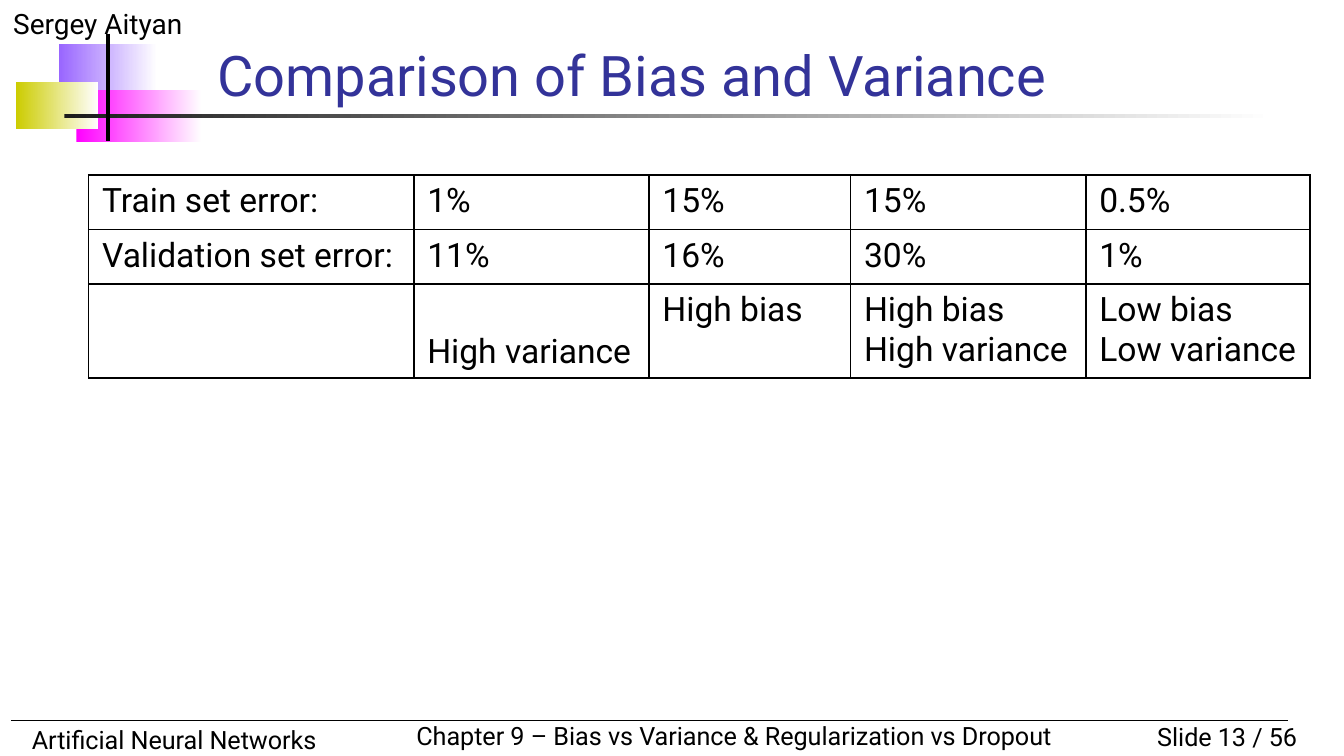
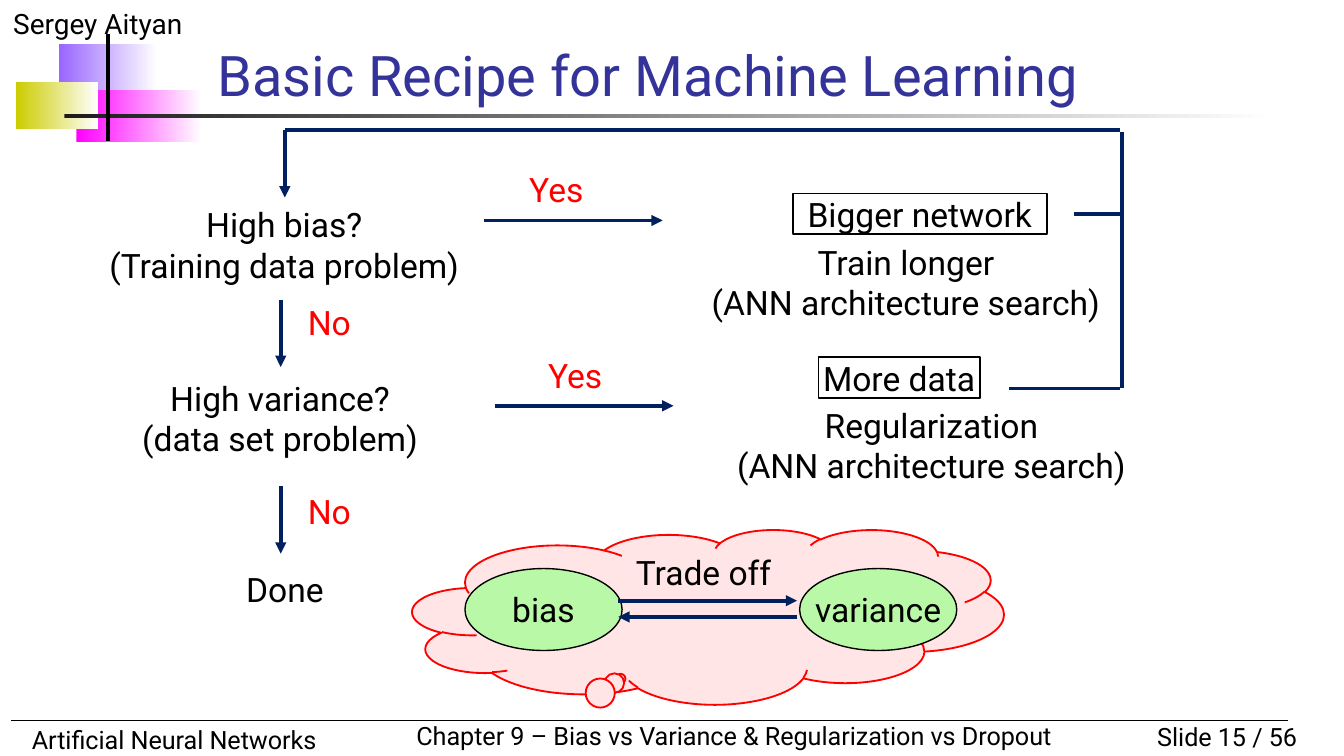
from lxml.etree import SubElement
from pptx import Presentation
from pptx.dml.color import RGBColor
from pptx.enum.shapes import MSO_CONNECTOR, MSO_SHAPE
from pptx.enum.text import MSO_ANCHOR, PP_ALIGN
from pptx.oxml.ns import qn
from pptx.util import Pt

FONT = "Roboto"
BLACK, WHITE, RED = "000000", "FFFFFF", "FF0000"
TITLE, NAVY = "333399", "002060"
PINK, GREEN = "FFE5E5", "B8F8A6"
TOTAL = 56
LINE_H = 21.6  # height of one 18 pt line


def rgb(color):
    return RGBColor.from_string(color)


def write(tf, text, size=18, color=BLACK, align=PP_ALIGN.CENTER,
          anchor=MSO_ANCHOR.TOP, wrap=True):
    tf.word_wrap = wrap
    tf.vertical_anchor = anchor
    for i, line in enumerate(text.split("\n")):
        p = tf.paragraphs[0] if i == 0 else tf.add_paragraph()
        p.text = line
        p.alignment = align
        p.font.name = FONT
        p.font.size = Pt(size)
        p.font.color.rgb = rgb(color)


def no_margins(tf):
    tf.margin_left = tf.margin_right = tf.margin_top = tf.margin_bottom = 0


def text_box(s, x, y, w, h, text, **style):
    """Text box with the usual insets, left aligned unless told otherwise."""
    tf = s.shapes.add_textbox(Pt(x), Pt(y), Pt(w), Pt(h)).text_frame
    write(tf, text, **{"align": PP_ALIGN.LEFT, **style})


def label(s, x, y, w, text, color=BLACK):
    """Centred text without insets, as high as its lines."""
    h = LINE_H * len(text.split("\n"))
    tf = s.shapes.add_textbox(Pt(x), Pt(y), Pt(w), Pt(h)).text_frame
    no_margins(tf)
    write(tf, text, color=color)


def shape(s, kind, x, y, w, h, fill=None, line=None, width=1.0):
    sp = s.shapes.add_shape(kind, Pt(x), Pt(y), Pt(w), Pt(h))
    sp.shadow.inherit = False
    if fill:
        sp.fill.solid()
        sp.fill.fore_color.rgb = rgb(fill)
    else:
        sp.fill.background()
    if line:
        sp.line.color.rgb = rgb(line)
        sp.line.width = Pt(width)
    else:
        sp.line.fill.background()
    no_margins(sp.text_frame)
    return sp


def fading_bar(s, x, y, w, h, color):
    sp = shape(s, MSO_SHAPE.RECTANGLE, x, y, w, h)
    sp.fill.gradient()
    sp.fill.gradient_angle = 0
    for stop, c, pos in zip(sp.fill.gradient_stops, (color, WHITE), (0, 1)):
        stop.color.rgb = rgb(c)
        stop.position = pos


def line(s, x1, y1, x2, y2, color=NAVY, width=2.0, arrow=False):
    c = s.shapes.add_connector(MSO_CONNECTOR.STRAIGHT,
                               Pt(x1), Pt(y1), Pt(x2), Pt(y2))
    c.line.color.rgb = rgb(color)
    c.line.width = Pt(width)
    if arrow:
        SubElement(c.line._get_or_add_ln(), qn("a:tailEnd"), type="triangle")
    SubElement(c._element.spPr, qn("a:effectLst"))


def new_slide(prs, title, number):
    s = prs.slides.add_slide(prs.slide_layouts[6])
    # Coloured blocks and the rule under the title
    fading_bar(s, 31.7, 23.8, 52.6, 28, "9966FF")
    fading_bar(s, 41, 48.2, 67, 28, "FF00FF")
    fading_bar(s, 8.6, 43.9, 44, 25, "CCCC00")
    fading_bar(s, 34.5, 61.2, 648, 2, "1C1C1C")
    # Author and footer
    text_box(s, 0, 0, 180, 25, "Sergey Aityan", size=15)
    text_box(s, 594, 383, 108, 23.8, f"Slide {number} / {TOTAL}",
             size=13.5, align=PP_ALIGN.RIGHT)
    text_box(s, 10, 384.5, 266.4, 23.8, "Artificial Neural Networks", size=13.5)
    text_box(s, 216, 382.5, 359.3, 23.8,
             "Chapter 9 – Bias vs Variance & Regularization vs Dropout",
             size=13.5, wrap=False)
    line(s, 5.8, 386, 690, 386, BLACK, 0.75)
    line(s, 57.8, 18, 57.8, 75.6, BLACK)
    # Title
    text_box(s, 109.4, 22.3, 529.2, 38.9, title, size=30, color=TITLE,
             anchor=MSO_ANCHOR.BOTTOM)
    return s


def border(cell):
    tc_pr = cell._tc.get_or_add_tcPr()
    for side in ("lnL", "lnR", "lnT", "lnB"):
        ln = SubElement(tc_pr, qn(f"a:{side}"), w=str(Pt(1)))
        fill = SubElement(ln, qn("a:solidFill"))
        SubElement(fill, qn("a:srgbClr"), val=BLACK)


def error_table(s, x, y):
    rows = [
        ["Train set error:", "1%", "15%", "15%", "0.5%"],
        ["Validation set error:", "11%", "16%", "30%", "1%"],
        ["", "High variance", "High bias", "High bias\nHigh variance",
         "Low bias\nLow variance"],
    ]
    widths = [174.2, 126, 108, 126, 120]
    heights = [29.2, 29.2, 50.2]
    table = s.shapes.add_table(len(rows), len(widths), Pt(x), Pt(y),
                               Pt(sum(widths)), Pt(sum(heights))).table
    table.first_row = table.horz_banding = False
    for column, w in zip(table.columns, widths):
        column.width = Pt(w)
    for row, h, texts in zip(table.rows, heights, rows):
        row.height = Pt(h)
        for cell, text in zip(row.cells, texts):
            border(cell)
            cell.fill.background()
            # A lone "High variance" lines up with the second lines beside it
            low = text == "High variance"
            write(cell.text_frame, text, align=PP_ALIGN.LEFT)
            cell.vertical_anchor = MSO_ANCHOR.BOTTOM if low else MSO_ANCHOR.TOP


def recipe_flow(s, x, y):
    # Questions and outcome
    for dx, dy, w, text in [
        (2.2, 39.6, 199.4, "High bias?\n(Training data problem)"),
        (0, 132.5, 199.4, "High variance?\n(data set problem)"),
        (72, 234.8, 60.5, "Done"),
        (324, 59.8, 221.8, "Train longer\n(ANN architecture search)"),
        (337.7, 146.9, 221.8, "Regularization\n(ANN architecture search)"),
    ]:
        label(s, x + dx, y + dy, w, text)
    # Framed remedies
    for dx, dy, w, text in [(374.4, 33.9, 136, "Bigger network"),
                            (388.1, 121.7, 86.4, "More data")]:
        sp = shape(s, MSO_SHAPE.RECTANGLE, x + dx, y + dy, w, LINE_H, line=BLACK)
        write(sp.text_frame, text)
    # Answers
    for dx, dy, text in [(228.2, 20.9, "Yes"), (238.3, 120.3, "Yes"),
                         (106.6, 92.2, "No"), (106.6, 193, "No")]:
        label(s, x + dx, y + dy, 38.9, text, RED)
    # Arrows to the right and down
    for dx, dy in [(208.8, 48.3), (214.6, 147.6)]:
        line(s, x + dx, y + dy, x + dx + 95.8, y + dy, arrow=True)
    for dx, dy in [(102.2, 0), (100, 90.8), (100, 190.8)]:
        line(s, x + dx, y + dy, x + dx, y + dy + 36, arrow=True)
    # Loop back to the first question
    for x1, y1, x2, y2 in [(549.4, 0, 102.2, 0), (490.3, 138.3, 549.4, 138.3),
                           (550.8, 138.3, 550.8, 0.8), (524.9, 45, 550, 45)]:
        line(s, x + x1, y + y1, x + x2, y + y2)


def trade_off(s, x, y):
    cloud = shape(s, MSO_SHAPE.CLOUD_CALLOUT, x, y, 316.8, 93.6, PINK, RED)
    cloud.adjustments[0] = -0.148
    cloud.adjustments[1] = 0.354
    for dx, text in [(207.4, "variance"), (28.1, "bias")]:
        sp = shape(s, MSO_SHAPE.OVAL, x + dx, y + 20.9, 84.2, 43.9,
                   GREEN, BLACK, 0.75)
        write(sp.text_frame, text, anchor=MSO_ANCHOR.MIDDLE, wrap=False)
    label(s, x + 108, y + 12.2, 95.8, "Trade off")
    line(s, x + 110.2, y + 38.1, x + 206, y + 38.1, arrow=True)
    line(s, x + 206, y + 46.8, x + 110.2, y + 46.8, arrow=True)


def main():
    prs = Presentation()
    prs.slide_width, prs.slide_height = Pt(720), Pt(405)

    s = new_slide(prs, "Comparison of Bias and Variance", 13)
    error_table(s, 47.5, 93.8)

    s = new_slide(prs, "Basic Recipe for Machine Learning", 15)
    recipe_flow(s, 50.4, 69.8)
    trade_off(s, 221, 283.7)

    prs.save("out.pptx")


if __name__ == "__main__":
    main()
